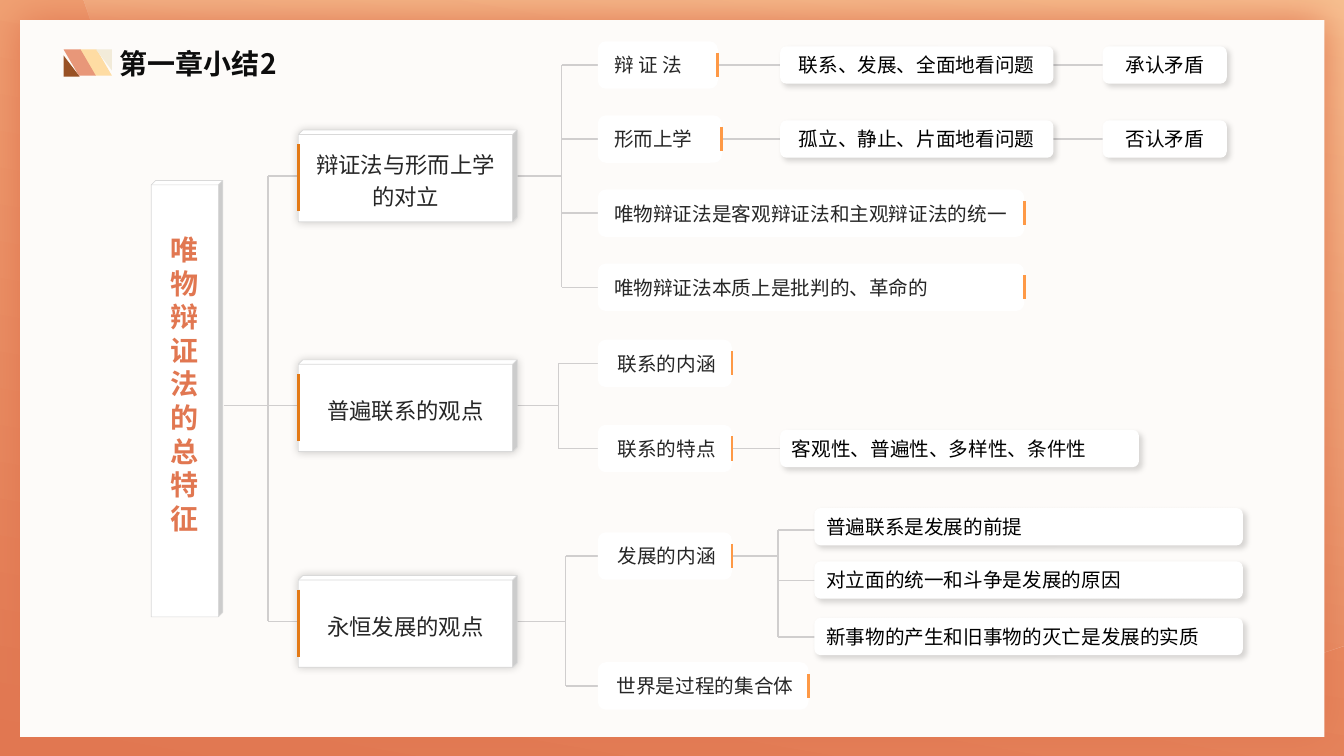
from dataclasses import dataclass

from lxml.etree import SubElement
from pptx import Presentation
from pptx.dml.color import RGBColor
from pptx.enum.shapes import MSO_CONNECTOR, MSO_SHAPE as Geo
from pptx.enum.text import MSO_ANCHOR as Anchor, PP_ALIGN as Align
from pptx.oxml.ns import qn
from pptx.util import Inches, Pt

FONT = "Noto Sans CJK SC"
prs = Presentation()
prs.slide_width, prs.slide_height = Inches(13.333), Inches(7.5)
s = prs.slides.add_slide(prs.slide_layouts[6])


# All positions and sizes are percentages of the slide's width or height
def px(share: float) -> int:
    return round(prs.slide_width * share / 100)


def py(share: float) -> int:
    return round(prs.slide_height * share / 100)


def rgb(code: str) -> RGBColor:
    return RGBColor.from_string(code)


@dataclass
class Shadow:
    color: str
    alpha: int
    blur: float
    dist: float = 0
    angle: int = 0


@dataclass
class View:
    text: str
    y: float


@dataclass
class Topic:
    text: str
    y: float
    width: float
    align: Align = Align.CENTER


@dataclass
class Detail:
    text: str
    x: float
    y: float
    width: float
    align: Align = Align.LEFT


@dataclass
class Bracket:
    start: float
    trunk: float
    y: float
    ends: list[tuple[float, float]]


@dataclass
class Mark:
    geo: Geo
    box: tuple[float, float, float, float]
    color: str
    rotation: int = 0


# Drawing helpers
def add_alpha(color_el, percent: int) -> None:
    SubElement(color_el, qn("a:alpha")).set("val", str(percent * 1000))


def add_shadow(sp, sh: Shadow) -> None:
    effects = sp._element.spPr.find(qn("a:effectLst"))
    outer = SubElement(effects, qn("a:outerShdw"), blurRad=str(Pt(sh.blur)), dist=str(Pt(sh.dist)),
                       dir=str(sh.angle * 60000), algn="ctr", rotWithShape="0")
    add_alpha(SubElement(outer, qn("a:srgbClr"), val=sh.color), sh.alpha)


def add_box(geo: Geo, x: float, y: float, w: float, h: float, fill: str = "FFFFFF",
            edge: str | None = None, shadow: Shadow | None = None):
    sp = s.shapes.add_shape(geo, px(x), py(y), px(w), py(h))
    sp.shadow.inherit = False
    sp.fill.solid()
    sp.fill.fore_color.rgb = rgb(fill)
    if edge:
        sp.line.color.rgb = rgb(edge)
        sp.line.width = Pt(0.5)
    else:
        sp.line.fill.background()
    if shadow:
        add_shadow(sp, shadow)
    return sp


def set_gradient(sp, first: str, last: str, last_alpha: int = 100) -> None:
    sp.shadow.inherit = False
    sp.line.fill.background()
    sp.fill.gradient()
    sp.fill.gradient_angle = 80
    for stop, color, position in zip(sp.fill.gradient_stops, (first, last), (0, 1)):
        stop.color.rgb = rgb(color)
        stop.position = position
    if last_alpha < 100:
        add_alpha(sp._element.spPr.findall(".//" + qn("a:srgbClr"))[-1], last_alpha)


def add_line(x1: float, y1: float, x2: float, y2: float, color: str = "D0CECE", width: float = 1) -> None:
    ln = s.shapes.add_connector(MSO_CONNECTOR.STRAIGHT, px(x1), py(y1), px(x2), py(y2))
    ln.line.color.rgb = rgb(color)
    ln.line.width = Pt(width)
    SubElement(ln._element.spPr, qn("a:effectLst"))


def set_text(sp, text: str, size: float, color: str, align: Align, bold: bool = False):
    tf = sp.text_frame
    tf.word_wrap = True
    tf.vertical_anchor = Anchor.MIDDLE
    tf.text = text
    p = tf.paragraphs[0]
    p.alignment = align
    r = p.runs[0]
    r.font.size, r.font.bold, r.font.name = Pt(size), bold, FONT
    r.font.color.rgb = rgb(color)
    SubElement(r._r.get_or_add_rPr(), qn("a:ea")).set("typeface", FONT)
    return p


def add_view(v: View) -> None:
    sp = add_box(Geo.CUBE, VIEW_X, v.y - 6.07, 16.28, 12.13, edge="D9D9D9", shadow=Shadow("000000", 20, 6, 0, 315))
    sp.adjustments[0] = 0.048
    set_text(sp, v.text, 16, "262626", Align.CENTER).line_spacing = 1.2
    add_line(VIEW_X, v.y - 4.2, VIEW_X, v.y + 4.7, "E37A17", 2)


def add_topic(t: Topic) -> None:
    sp = add_box(Geo.ROUNDED_RECTANGLE, TOPIC_X, t.y - 3.13, t.width, 6.27)
    p = set_text(sp, t.text, 14, "262626", t.align)
    p._p.get_or_add_pPr().set("marL", str(Inches(0.04)))
    right = TOPIC_X + t.width
    add_line(right, t.y - 1.6, right, t.y + 1.6, "FE9946", 2)


def add_detail(d: Detail) -> None:
    sp = add_box(Geo.ROUNDED_RECTANGLE, d.x, d.y - 2.47, d.width, 4.93, shadow=Shadow("000000", 15, 4, 3, 45))
    set_text(sp, d.text, 14, "000000", d.align)


def add_bracket(b: Bracket) -> None:
    add_line(b.start, b.y, b.trunk, b.y)
    rows = [y for _, y in b.ends]
    add_line(b.trunk, min(rows), b.trunk, max(rows))
    for x, y in b.ends:
        add_line(b.trunk, y, x, y)


def curve(p0, p1, p2, p3, steps: int = 24) -> list[tuple[float, float]]:
    def at(t: float, i: int) -> float:
        u = 1 - t
        return u**3 * p0[i] + 3 * u * u * t * p1[i] + 3 * u * t * t * p2[i] + t**3 * p3[i]
    return [(at(k / steps, 0), at(k / steps, 1)) for k in range(1, steps + 1)]


# Column and row positions of the tree
VIEW_X, TOPIC_X, DETAIL_X, VERDICT_X, REASON_X = 22.2, 44.48, 58.05, 82.05, 60.6
VIEW_Y = [23.27, 53.67, 82.2]
CONTRAST_Y = [8.6 + 9.8 * k for k in range(4)]
LINK_Y, GROWTH_Y, REASON_Y = [48.07, 59.33], [73.55, 90.73], [69.67, 76.73, 84.2]

views = [View(*v) for v in zip(["辩证法与形而上学的对立", "普遍联系的观点", "永恒发展的观点"], VIEW_Y)]
topics = [
    Topic("辩 证 法", CONTRAST_Y[0], 8.93, Align.LEFT),
    Topic("形而上学", CONTRAST_Y[1], 9.23, Align.LEFT),
    Topic("唯物辩证法是客观辩证法和主观辩证法的统一", CONTRAST_Y[2], 31.73, Align.LEFT),
    Topic("唯物辩证法本质上是批判的、革命的", CONTRAST_Y[3], 31.73, Align.LEFT),
    Topic("联系的内涵", LINK_Y[0], 9.98),
    Topic("联系的特点", LINK_Y[1], 9.98),
    Topic("发展的内涵", GROWTH_Y[0], 9.98),
    Topic("世界是过程的集合体", GROWTH_Y[1], 15.68),
]
details = [
    Detail("联系、发展、全面地看问题", DETAIL_X, CONTRAST_Y[0], 20.33, Align.CENTER),
    Detail("孤立、静止、片面地看问题", DETAIL_X, CONTRAST_Y[1], 20.33, Align.CENTER),
    Detail("承认矛盾", VERDICT_X, CONTRAST_Y[0], 9.23, Align.CENTER),
    Detail("否认矛盾", VERDICT_X, CONTRAST_Y[1], 9.23, Align.CENTER),
    Detail("客观性、普遍性、多样性、条件性", DETAIL_X, LINK_Y[1], 26.7),
    Detail("普遍联系是发展的前提", REASON_X, REASON_Y[0], 31.88),
    Detail("对立面的统一和斗争是发展的原因", REASON_X, REASON_Y[1], 31.88),
    Detail("新事物的产生和旧事物的灭亡是发展的实质", REASON_X, REASON_Y[2], 31.88),
]
brackets = [
    Bracket(16.65, 19.95, VIEW_Y[1], [(VIEW_X, y) for y in VIEW_Y]),
    Bracket(38.48, 41.78, VIEW_Y[0], list(zip([85.35, 85.35, 47.6, 47.6], CONTRAST_Y))),
    Bracket(38.48, 41.55, VIEW_Y[1], list(zip([46.2, 68.25], LINK_Y))),
    Bracket(38.48, 42.08, VIEW_Y[2], [(46.2, y) for y in GROWTH_Y]),
    Bracket(54.45, 57.9, GROWTH_Y[0], [(73.43, y) for y in (70.13, 76.8, 84.27)]),
]
marks = [
    Mark(Geo.PARALLELOGRAM, (5.93, 6.53, 2.4, 3.47), "FEDCA3"),
    Mark(Geo.RIGHT_TRIANGLE, (7.13, 6.53, 1.2, 2.8), "F2EBD9", 180),
    Mark(Geo.PARALLELOGRAM, (4.73, 6.53, 2.4, 3.47), "E89779"),
    Mark(Geo.RIGHT_TRIANGLE, (4.73, 7.33, 1.2, 2.8), "985125"),
]

# Frame with a curved overlay and the pale panel
set_gradient(add_box(Geo.RECTANGLE, 0, 0, 100, 100), "E17751", "F4AD7D")
outline = [(13.33, 0), (13.33, 6.4), (13.15, 6.46),
           *curve((13.15, 6.46), (12.22, 6.75), (11.24, 6.9), (10.22, 6.9)),
           *curve((10.22, 6.9), (5.97, 6.9), (2.36, 4.21), (0.98, 0.44))]
fb = s.shapes.build_freeform(Inches(0.83), 0)
fb.add_line_segments([(Inches(x), Inches(y)) for x, y in outline])
set_gradient(fb.convert_to_shape(), "E17751", "FDD5A6", 50)
add_box(Geo.RECTANGLE, 1.5, 2.67, 97.05, 94.8, "FDFBF9", shadow=Shadow("E17751", 100, 30))

# Tree, from the connecting lines up
for b in brackets:
    add_bracket(b)
root = add_box(Geo.CUBE, 11.25, 23.87, 5.33, 57.73, edge="D9D9D9")
root.adjustments[0] = 0.063
set_text(root, "唯物辩证法的总特征", 20, "E17751", Align.CENTER, True)
root.text_frame.margin_bottom = py(5.2)
for v in views:
    add_view(v)
for t in topics:
    add_topic(t)
for d in details:
    add_detail(d)

# Heading with its striped ornament
title = s.shapes.add_textbox(px(8.18), py(5.47), px(16.95), py(5.87))
set_text(title, "第一章小结2", 20, "0D0D0D", Align.LEFT, True)
for m in marks:
    sp = add_box(m.geo, *m.box, m.color)
    sp.rotation = m.rotation
    if m.geo == Geo.PARALLELOGRAM:
        sp.adjustments[0] = 0.585
        sp._element.spPr.get_or_add_xfrm().set("flipH", "1")

prs.save("out.pptx")
